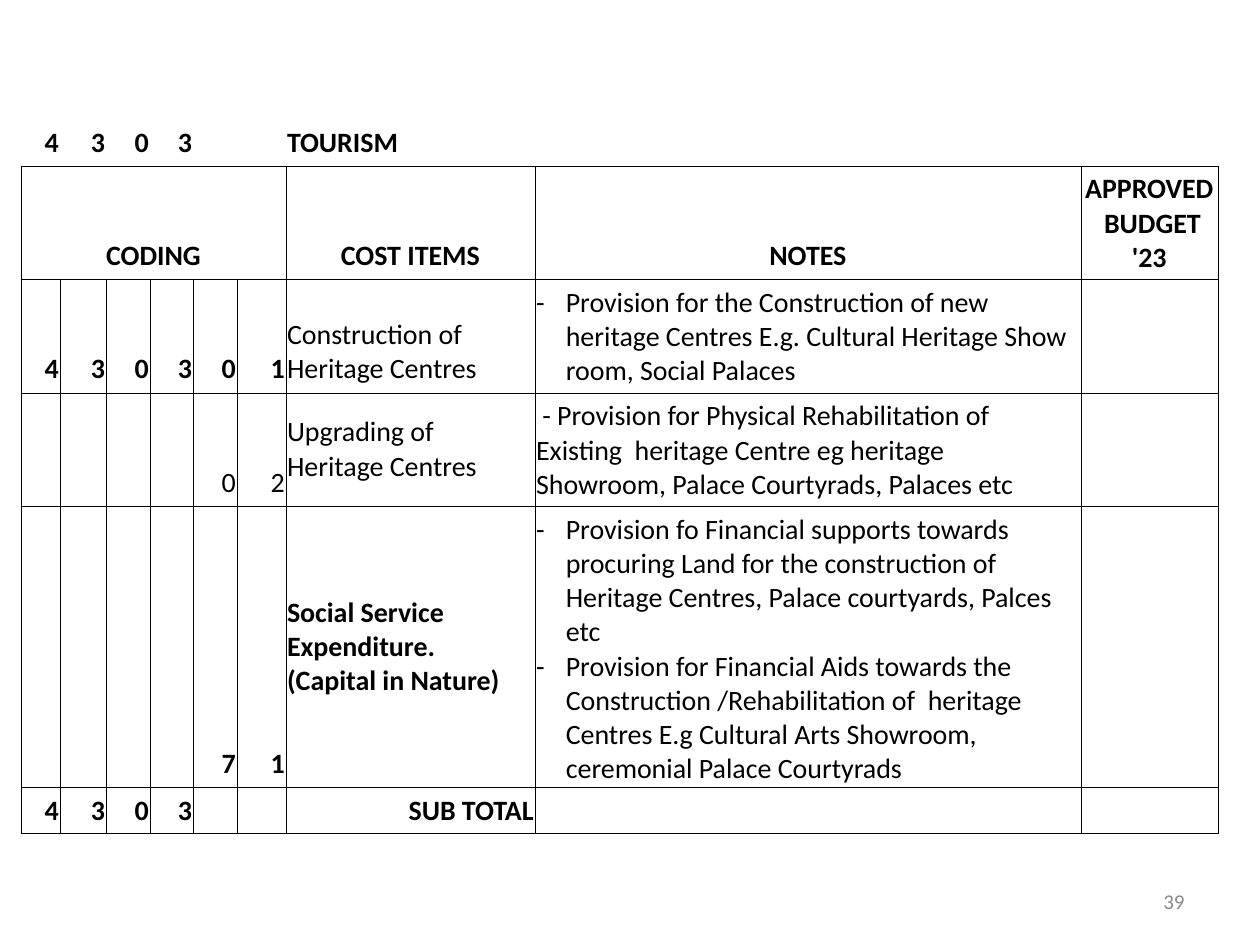
from dataclasses import dataclass

import lxml.etree
import pptx
import pptx.dml.color
import pptx.enum.text
import pptx.oxml.ns
import pptx.table
import pptx.text.text
import pptx.util

Pt = pptx.util.Pt
qn = pptx.oxml.ns.qn
ALIGN = pptx.enum.text.PP_ALIGN
ANCHOR = pptx.enum.text.MSO_ANCHOR


@dataclass(frozen=True)
class Theme:
    font: str = "Calibri"
    ink: str = "000000"
    page_ink: str = "898989"
    body_size: float = 16
    page_size: float = 12
    heavy: float = 0.45
    light: float = 0.23
    bullet_indent: float = 17


@dataclass(frozen=True)
class Entry:
    lines: tuple[str, ...] = ()
    bold: bool = False
    align: ALIGN = ALIGN.LEFT
    anchor: ANCHOR = ANCHOR.BOTTOM
    bulleted: bool = False


THEME = Theme()
BLANK = Entry()
CODE_DIGITS = 6
COLUMN_WIDTHS = (22.3, 26.4, 25, 24.8, 25, 28, 142.3, 312, 78.2)
ROW_HEIGHTS = (28.6, 58.3, 58.3, 58.3, 135.4, 20.2)


def coded(code: str, *entries: Entry, bold: bool = True) -> list[Entry]:
    """One row: a digit per coding column, then the wider columns."""
    digits = [Entry((d,), bold, ALIGN.RIGHT) if d != " " else BLANK for d in code]
    return digits + list(entries)


def heading(label: str) -> Entry:
    return Entry((label,), True, ALIGN.CENTER)


BUDGET_ROWS = [
    coded("4303  ", Entry(("TOURISM",), True), BLANK, BLANK),
    [heading("CODING")] + [BLANK] * (CODE_DIGITS - 1)
    + [heading("COST ITEMS"), heading("NOTES"), heading("APPROVED  BUDGET '23")],
    coded(
        "430301",
        Entry(("Construction of Heritage Centres",)),
        Entry(("Provision for the Construction of new heritage Centres E.g. "
               "Cultural Heritage Show room, Social Palaces",), bulleted=True),
        BLANK,
    ),
    coded(
        "    02",
        Entry(("Upgrading of Heritage Centres",), anchor=ANCHOR.MIDDLE),
        Entry((" - Provision for Physical Rehabilitation of Existing  heritage Centre "
               "eg heritage Showroom, Palace Courtyrads, Palaces etc",),
              anchor=ANCHOR.MIDDLE),
        BLANK,
        bold=False,
    ),
    coded(
        "    71",
        Entry(("Social Service Expenditure.", "(Capital in Nature)"), True,
              anchor=ANCHOR.MIDDLE),
        Entry(("Provision fo Financial supports towards procuring Land for the "
               "construction of Heritage Centres, Palace courtyards, Palces etc",
               "Provision for Financial Aids towards the Construction /Rehabilitation "
               "of  heritage Centres E.g Cultural Arts Showroom, ceremonial Palace "
               "Courtyrads "),
              anchor=ANCHOR.MIDDLE, bulleted=True),
        BLANK,
    ),
    coded("4303  ", Entry(("SUB TOTAL",), True, ALIGN.RIGHT), BLANK, BLANK),
]


def horizontal_weight(line: int, column: int) -> float:
    if line == 0:
        return 0
    is_heavy = line in (1, 2, 6) or (line == 5 and column >= 4)
    return THEME.heavy if is_heavy else THEME.light


def vertical_weight(row: int, line: int) -> float:
    if row == 0 or (row == 1 and 0 < line < CODE_DIGITS):
        return 0
    is_heavy = line == 0 or (row == 2 and line <= 4) or (row == 5 and line == 4)
    return THEME.heavy if is_heavy else THEME.light


def draw_borders(cell: pptx.table._Cell, row: int, column: int) -> None:
    weights = {
        "a:lnL": vertical_weight(row, column),
        "a:lnR": vertical_weight(row, column + 1),
        "a:lnT": horizontal_weight(row, column),
        "a:lnB": horizontal_weight(row + 1, column),
    }
    properties = cell._tc.get_or_add_tcPr()
    for side, weight in weights.items():
        edge = lxml.etree.SubElement(properties, qn(side), w=str(int(Pt(weight))))
        if weight:
            fill = lxml.etree.SubElement(edge, qn("a:solidFill"))
            lxml.etree.SubElement(fill, qn("a:srgbClr"), val=THEME.ink)
        else:
            lxml.etree.SubElement(edge, qn("a:noFill"))


def add_dash(paragraph: pptx.text.text._Paragraph) -> None:
    properties = paragraph._p.get_or_add_pPr()
    indent = int(Pt(THEME.bullet_indent))
    properties.set("marL", str(indent))
    properties.set("indent", str(-indent))
    lxml.etree.SubElement(properties, qn("a:buFont"), typeface=THEME.font)
    lxml.etree.SubElement(properties, qn("a:buChar"), char="-")


def add_text(paragraph: pptx.text.text._Paragraph, text: str, size: float,
             color: str, bold: bool = False) -> None:
    run = paragraph.add_run()
    run.text = text
    run.font.name = THEME.font
    run.font.size = Pt(size)
    run.font.bold = bold
    run.font.color.rgb = pptx.dml.color.RGBColor.from_string(color)


def fill_cell(cell: pptx.table._Cell, entry: Entry) -> None:
    cell.margin_left = cell.margin_right = Pt(0.7)
    cell.margin_top = cell.margin_bottom = Pt(3.6)
    cell.vertical_anchor = entry.anchor
    cell.fill.background()
    frame = cell.text_frame
    for index, line in enumerate(entry.lines):
        paragraph = frame.add_paragraph() if index else frame.paragraphs[0]
        paragraph.alignment = entry.align
        if entry.bulleted:
            add_dash(paragraph)
        add_text(paragraph, line, THEME.body_size, THEME.ink, entry.bold)
    if not entry.lines:
        # Keeps an empty cell from stretching its row.
        lxml.etree.SubElement(frame.paragraphs[0]._p, qn("a:endParaRPr"),
                              sz=str(int(THEME.body_size * 100)))


def add_budget_table(slide) -> None:
    budget = slide.shapes.add_table(
        len(ROW_HEIGHTS), len(COLUMN_WIDTHS), Pt(12), Pt(66.3),
        Pt(sum(COLUMN_WIDTHS)), Pt(sum(ROW_HEIGHTS))).table
    budget.first_row = budget.horz_banding = False
    for column, width in zip(budget.columns, COLUMN_WIDTHS):
        column.width = Pt(width)
    for row, height in zip(budget.rows, ROW_HEIGHTS):
        row.height = Pt(height)
    for row, entries in enumerate(BUDGET_ROWS):
        for column, entry in enumerate(entries):
            cell = budget.cell(row, column)
            draw_borders(cell, row, column)
            fill_cell(cell, entry)
    budget.cell(1, 0).merge(budget.cell(1, CODE_DIGITS - 1))


def add_page_number(slide, number: str) -> None:
    frame = slide.shapes.add_textbox(Pt(516), Pt(500.5), Pt(168), Pt(28.8)).text_frame
    frame.word_wrap = True
    frame.vertical_anchor = ANCHOR.MIDDLE
    frame.paragraphs[0].alignment = ALIGN.RIGHT
    add_text(frame.paragraphs[0], number, THEME.page_size, THEME.page_ink)


def main() -> None:
    deck = pptx.Presentation()
    deck.slide_width, deck.slide_height = Pt(720), Pt(540)
    slide = deck.slides.add_slide(deck.slide_layouts[6])
    add_page_number(slide, "39")
    add_budget_table(slide)
    deck.save("out.pptx")


if __name__ == "__main__":
    main()
